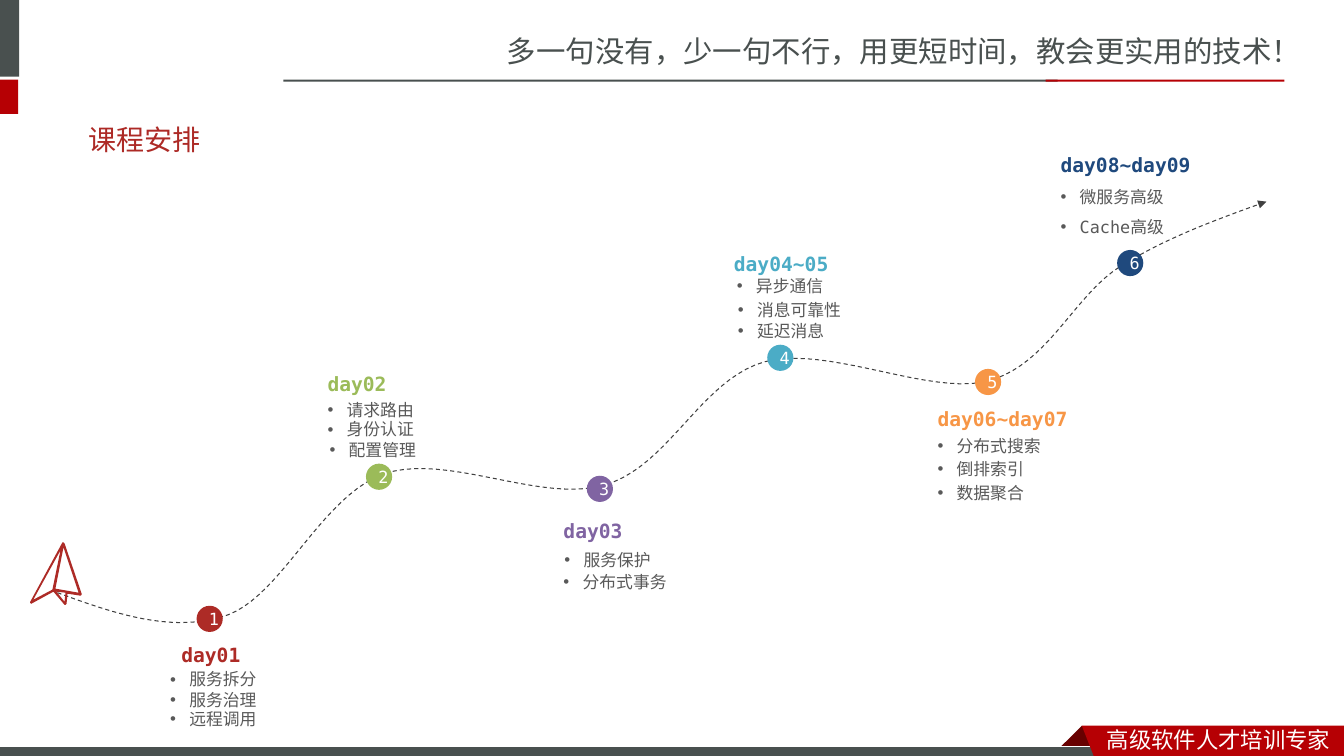
"""Build the course schedule slide: six numbered stops along a rising dashed path."""
from dataclasses import dataclass
from typing import NamedTuple

from lxml.etree import SubElement
from pptx import Presentation
from pptx.dml.color import RGBColor
from pptx.enum.dml import MSO_LINE
from pptx.enum.shapes import MSO_SHAPE
from pptx.enum.text import MSO_ANCHOR, MSO_AUTO_SIZE, PP_ALIGN
from pptx.oxml.ns import qn
from pptx.shapes.autoshape import Shape
from pptx.slide import Slide
from pptx.text.text import TextFrame, _Paragraph
from pptx.util import Inches, Pt

Point = tuple[float, float]


@dataclass(frozen=True)
class Theme:
    """Colours, fonts and type sizes of the slide."""
    gray: str = "49504F"
    red: str = "B60004"
    dark_red: str = "680000"
    accent: str = "AD2B26"
    title: str = "AD2A26"
    body: str = "595959"
    path_line: str = "404040"
    white: str = "FFFFFF"
    mono: str = "DejaVu Sans Mono"
    chinese: str = "Noto Sans CJK SC"
    title_font: str = "Lato"
    slogan_size: int = 21
    title_size: int = 20
    footer_size: int = 16
    day_size: int = 14
    body_size: int = 12


THEME = Theme()


class Box(NamedTuple):
    """Left, top, width and height in inches."""
    left: float
    top: float
    width: float
    height: float


class Line(NamedTuple):
    """One paragraph with its look."""
    text: str
    size: int
    color: str
    font: str = THEME.mono
    bold: bool = False
    bullet: bool = False
    spacing: float | None = None


class Bar(NamedTuple):
    """A plain filled rectangle."""
    box: Box
    fill: str


class Topic(NamedTuple):
    """A bulleted topic and where it stands."""
    text: str
    left: float
    top: float
    width: float


class Stop(NamedTuple):
    """A numbered stop with its day label and topics."""
    color: str
    marker: Point
    day: str
    label: Point
    topics: tuple[Topic, ...] = ()
    inline_topics: tuple[str, ...] = ()


MARKER_SIZE = 0.26
LABEL_WIDTH = 1.58
LABEL_HEIGHT = 0.42
TOPIC_HEIGHT = 0.3
BULLET_INDENT = 0.19
DAY_SPACING = 1.5
CURVE_STEPS = 20

HEADER_BARS = (
    Bar(Box(-0.06, 0, 0.25, 0.76), THEME.gray),
    Bar(Box(-0.06, 0.79, 0.24, 0.34), THEME.red),
    Bar(Box(2.81, 0.79, 7.68, 0.02), THEME.gray),
    Bar(Box(10.37, 0.79, 2.37, 0.02), THEME.red),
)
FOOTER_BAR = Bar(Box(-0.01, 7.41, 11, 0.12), THEME.gray)
RIBBON_FOLD = [(10.73, 7.2), (10.95, 7.42), (10.94, 7.43), (10.52, 7.43), (10.51, 7.42)]
RIBBON = [(10.73, 7.2), (13.33, 7.2), (13.33, 7.54), (10.86, 7.53)]
PAPER_PLANE = [
    [(0.63, 5.38), (0.62, 5.38), (0.3, 5.97), (0.3, 5.98), (0.31, 5.99), (0.53, 5.87), (0.64, 6),
     (0.65, 6), (0.66, 5.99), (0.67, 5.89), (0.8, 5.91), (0.81, 5.9), (0.81, 5.89), (0.64, 5.39)],
    [(0.6, 5.46), (0.52, 5.85), (0.33, 5.95)],
    [(0.64, 5.97), (0.56, 5.87), (0.65, 5.88)],
    [(0.78, 5.88), (0.55, 5.84), (0.63, 5.43)],
]
PATH_CURVE = [
    (0.57, 5.88), (1.14, 6.09), (1.72, 6.29), (2.26, 6.1), (2.8, 5.9), (3.19, 4.92), (3.81, 4.7),
    (4.44, 4.49), (5.37, 5), (6, 4.81), (6.63, 4.63), (6.95, 3.77), (7.58, 3.59), (8.21, 3.42),
    (9.22, 3.93), (9.8, 3.78), (10.39, 3.62), (10.64, 2.95), (11.1, 2.65), (11.56, 2.36),
    (12.06, 2.18), (12.56, 2),
]
STOPS = (
    Stop(THEME.accent, (1.95, 6.01), "day01", (1.7, 6.21), (
        Topic("服务拆分", 1.59, 6.59, 1.64), Topic("服务治理", 1.59, 6.79, 1.64),
        Topic("远程调用", 1.59, 6.98, 1.64))),
    Stop("9BBB59", (3.63, 4.6), "day02", (3.15, 3.52), (
        Topic("请求路由", 3.15, 3.92, 1.39), Topic("身份认证", 3.15, 4.11, 1.39),
        Topic("配置管理", 3.17, 4.31, 1.39))),
    Stop("8064A2", (5.82, 4.72), "day03", (5.49, 4.98), (
        Topic("服务保护", 5.5, 5.4, 1.16), Topic("分布式事务", 5.49, 5.62, 1.45))),
    Stop("4BACC6", (7.61, 3.42), "day04~05", (7.18, 2.33), (
        Topic("异步通信", 7.21, 2.69, 1.16), Topic("消息可靠性", 7.22, 2.92, 1.3),
        Topic("延迟消息", 7.22, 3.13, 1.3))),
    Stop("F79646", (9.67, 3.66), "day06~day07", (9.2, 3.87), (
        Topic("分布式搜索", 9.2, 4.27, 1.55), Topic("倒排索引", 9.2, 4.5, 1.55),
        Topic("数据聚合", 9.2, 4.74, 1.55))),
    Stop("1F497D", (11.08, 2.48), "day08~day09", (10.42, 1.35),
         inline_topics=("微服务高级", "Cache高级")),
)


def write_line(paragraph: _Paragraph, line: Line) -> None:
    """Fill a paragraph and format its run."""
    paragraph.text = line.text
    paragraph.line_spacing = line.spacing
    font = paragraph.runs[0].font
    font.name, font.size, font.bold = line.font, Pt(line.size), line.bold
    font.color.rgb = RGBColor.from_string(line.color)
    SubElement(font._element, qn("a:ea"), typeface=THEME.chinese)
    if line.bullet:
        properties = paragraph._p.get_or_add_pPr()
        properties.set("marL", str(Inches(BULLET_INDENT)))
        properties.set("indent", str(-Inches(BULLET_INDENT)))
        SubElement(properties, qn("a:buFont"), typeface="Arial")
        SubElement(properties, qn("a:buChar"), char="•")


def add_text(slide: Slide, box: Box, *lines: Line) -> TextFrame:
    """Add a wrapping text box that grows with its lines."""
    frame = slide.shapes.add_textbox(*map(Inches, box)).text_frame
    frame.word_wrap = True
    frame.auto_size = MSO_AUTO_SIZE.SHAPE_TO_FIT_TEXT
    for index, line in enumerate(lines):
        write_line(frame.add_paragraph() if index else frame.paragraphs[0], line)
    return frame


def paint(shape: Shape, fill: str) -> Shape:
    """Give a shape a flat fill without line or shadow."""
    shape.shadow.inherit = False
    shape.fill.solid()
    shape.fill.fore_color.rgb = RGBColor.from_string(fill)
    shape.line.fill.background()
    return shape


def add_shape(slide: Slide, kind: MSO_SHAPE, box: Box, fill: str) -> Shape:
    """Add a flat preset shape."""
    return paint(slide.shapes.add_shape(kind, *map(Inches, box)), fill)


def add_outline(slide: Slide, *contours: list[Point], close: bool = True) -> Shape:
    """Add a freeform from one or more contours."""
    points = [[(Inches(x), Inches(y)) for x, y in contour] for contour in contours]
    builder = slide.shapes.build_freeform(*points[0][0], scale=1.0)
    for index, contour in enumerate(points):
        if index:
            builder.move_to(*contour[0])
        builder.add_line_segments(contour[1:], close=close)
    return builder.convert_to_shape()


def curve_points(controls: list[Point]) -> list[Point]:
    """Sample a chain of cubic Bezier segments."""
    points = [controls[0]]
    for start in range(0, len(controls) - 1, 3):
        segment = controls[start:start + 4]
        for step in range(1, CURVE_STEPS + 1):
            t = step / CURVE_STEPS
            weights = ((1 - t) ** 3, 3 * t * (1 - t) ** 2, 3 * t ** 2 * (1 - t), t ** 3)
            points.append((sum(w * x for w, (x, _) in zip(weights, segment)),
                           sum(w * y for w, (_, y) in zip(weights, segment))))
    return points


def add_path(slide: Slide) -> None:
    """Draw the dashed path with its arrowhead."""
    path = add_outline(slide, curve_points(PATH_CURVE), close=False)
    path.shadow.inherit = False
    path.fill.background()
    path.line.color.rgb = RGBColor.from_string(THEME.path_line)
    path.line.width = Pt(0.75)
    path.line.dash_style = MSO_LINE.DASH
    SubElement(path.line._get_or_add_ln(), qn("a:tailEnd"), type="triangle")


def add_stop(slide: Slide, number: int, stop: Stop) -> None:
    """Draw a numbered marker, its day label and its topics."""
    marker = add_shape(slide, MSO_SHAPE.OVAL, Box(*stop.marker, MARKER_SIZE, MARKER_SIZE), stop.color)
    paragraph = marker.text_frame.paragraphs[0]
    write_line(paragraph, Line(str(number), THEME.body_size, THEME.white))
    paragraph.alignment = PP_ALIGN.CENTER
    day = Line(stop.day, THEME.day_size, stop.color, bold=True, spacing=DAY_SPACING)
    inline = [Line(text, THEME.body_size, THEME.body, bullet=True, spacing=DAY_SPACING)
              for text in stop.inline_topics]
    height = LABEL_HEIGHT + len(inline) * TOPIC_HEIGHT
    add_text(slide, Box(*stop.label, LABEL_WIDTH, height), day, *inline)
    for topic in stop.topics:
        add_text(slide, Box(topic.left, topic.top, topic.width, TOPIC_HEIGHT),
                 Line(topic.text, THEME.body_size, THEME.body, bullet=True))


def add_frame(slide: Slide) -> None:
    """Draw the slogan, the header bars, the footer ribbon and the title."""
    add_text(slide, Box(4.93, 0.28, 8.41, 0.47), Line(
        "多一句没有，少一句不行，用更短时间，教会更实用的技术！",
        THEME.slogan_size, THEME.gray, THEME.chinese))
    for bar in HEADER_BARS:
        add_shape(slide, MSO_SHAPE.RECTANGLE, *bar)
    paint(add_outline(slide, RIBBON_FOLD), THEME.dark_red)
    footer = add_shape(slide, MSO_SHAPE.RECTANGLE, *FOOTER_BAR)
    footer.line.color.rgb = RGBColor.from_string(THEME.white)
    footer.line.width = Pt(0.75)
    paint(add_outline(slide, RIBBON), THEME.red)
    add_text(slide, Box(10.88, 7.15, 2.45, 0.37), Line(
        "高级软件人才培训专家", THEME.footer_size, THEME.white, THEME.chinese))
    title = add_text(slide, Box(0.78, 1.1, 11.75, 0.57), Line(
        "课程安排", THEME.title_size, THEME.title, THEME.title_font))
    title.auto_size = MSO_AUTO_SIZE.NONE
    title.vertical_anchor = MSO_ANCHOR.MIDDLE


def main() -> None:
    """Build and save the presentation."""
    presentation = Presentation()
    presentation.slide_width, presentation.slide_height = Inches(13.33), Inches(7.5)
    slide = presentation.slides.add_slide(presentation.slide_layouts[6])
    add_frame(slide)
    add_path(slide)
    for number, stop in enumerate(STOPS, start=1):
        add_stop(slide, number, stop)
    paint(add_outline(slide, *PAPER_PLANE), THEME.accent)
    presentation.save("out.pptx")


if __name__ == "__main__":
    main()
